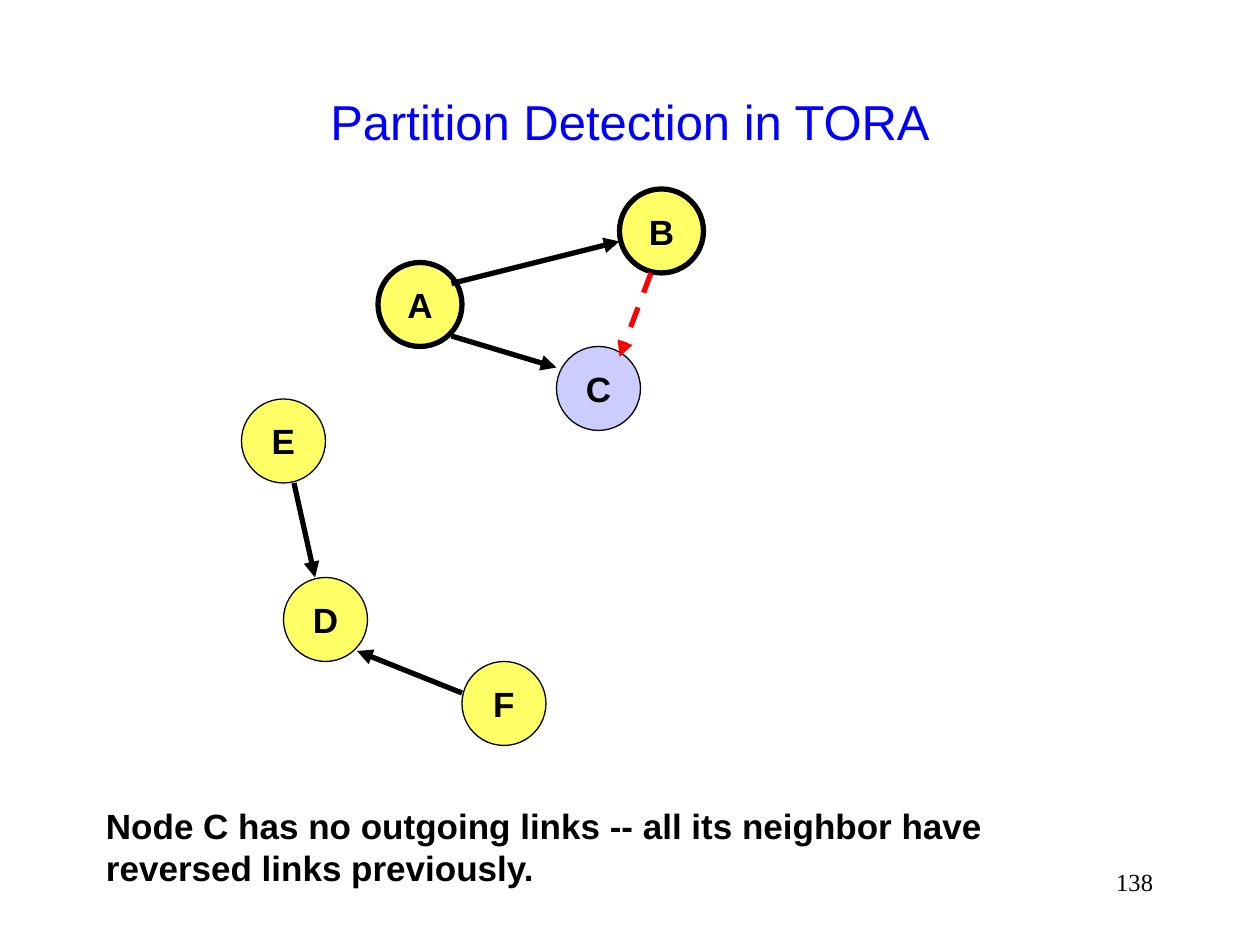
from dataclasses import dataclass
from typing import Optional

from lxml.etree import SubElement
from pptx import Presentation
from pptx.dml.color import RGBColor
from pptx.enum.dml import MSO_LINE
from pptx.enum.shapes import MSO_CONNECTOR, MSO_SHAPE
from pptx.enum.text import MSO_ANCHOR, MSO_AUTO_SIZE, PP_ALIGN
from pptx.oxml.ns import qn
from pptx.util import Pt

BLACK = "000000"
YELLOW = "FFFF66"
LAVENDER = "CCCCFF"
RED = "FF0000"
BLUE = "0000FF"
NODE_SIZE = 48
BOLD_LABEL = {"name": "Arial", "size": Pt(20), "bold": True}


@dataclass
class Node:
    label: str
    left: float
    top: float
    fill: str = YELLOW
    outline: float = 0.75


@dataclass
class Link:
    start: tuple[float, float]
    end: tuple[float, float]
    color: str = BLACK
    dash: Optional[MSO_LINE] = None


NODES = [
    Node("A", 216, 150, outline=3),
    Node("B", 354, 108, outline=3),
    Node("E", 138, 228),
    Node("D", 162, 330),
    Node("F", 264, 378),
    Node("C", 318, 198, fill=LAVENDER),
]

LINKS = [
    Link((258, 162), (354, 138)),
    Link((258, 192), (318, 210)),
    Link((168, 276), (180, 330)),
    Link((264, 396), (204, 372)),
    Link((372, 156), (354, 204), RED, MSO_LINE.DASH),
]


def paint(color_format, color: str) -> None:
    color_format.rgb = RGBColor.from_string(color)


def apply_format(target, values: dict) -> None:
    for name, value in values.items():
        setattr(target, name, value)


def write_text(box, lines: list[str], font: dict, color: str,
               alignment: PP_ALIGN, frame_format: dict) -> None:
    frame = box.text_frame
    apply_format(frame, frame_format)
    for index, line in enumerate(lines):
        para = frame.add_paragraph() if index else frame.paragraphs[0]
        para.alignment = alignment
        span = para.add_run()
        span.text = line
        apply_format(span.font, font)
        paint(span.font.color, color)


def draw_node(page, node: Node) -> None:
    circle = page.shapes.add_shape(
        MSO_SHAPE.OVAL, Pt(node.left), Pt(node.top), Pt(NODE_SIZE), Pt(NODE_SIZE))
    circle.shadow.inherit = False
    circle.fill.solid()
    paint(circle.fill.fore_color, node.fill)
    paint(circle.line.color, BLACK)
    circle.line.width = Pt(node.outline)
    write_text(circle, [node.label], BOLD_LABEL, BLACK, PP_ALIGN.CENTER,
               {"word_wrap": False, "vertical_anchor": MSO_ANCHOR.MIDDLE})


def draw_link(page, link: Link) -> None:
    arrow = page.shapes.add_connector(
        MSO_CONNECTOR.STRAIGHT, *map(Pt, link.start + link.end))
    paint(arrow.line.color, link.color)
    arrow.line.width = Pt(3)
    if link.dash is not None:
        arrow.line.dash_style = link.dash
    properties = arrow.element.spPr
    SubElement(properties.find(qn("a:ln")), qn("a:tailEnd"), type="triangle")
    SubElement(properties, qn("a:effectLst"))


def main() -> None:
    deck = Presentation()
    apply_format(deck, {"slide_width": Pt(720), "slide_height": Pt(540)})
    page = deck.slides.add_slide(deck.slide_layouts[5])

    title = page.shapes.title
    apply_format(title, {"left": Pt(54), "top": Pt(24),
                         "width": Pt(612), "height": Pt(90)})
    write_text(title, ["Partition Detection in TORA"],
               {"name": "Arial", "size": Pt(28)}, BLUE, PP_ALIGN.CENTER,
               {"word_wrap": True, "vertical_anchor": MSO_ANCHOR.MIDDLE,
                "auto_size": MSO_AUTO_SIZE.NONE})

    for node in NODES:
        draw_node(page, node)
    for link in LINKS:
        draw_link(page, link)

    caption = page.shapes.add_textbox(Pt(53.5), Pt(456), Pt(515.5), Pt(55.5))
    write_text(caption,
               ["Node C has no outgoing links -- all its neighbor have",
                "reversed links previously."],
               BOLD_LABEL, BLACK, PP_ALIGN.LEFT,
               {"word_wrap": False, "vertical_anchor": MSO_ANCHOR.MIDDLE,
                "auto_size": MSO_AUTO_SIZE.SHAPE_TO_FIT_TEXT})

    page_number = page.shapes.add_textbox(Pt(516), Pt(492), Pt(150), Pt(36))
    write_text(page_number, ["138"],
               {"name": "Times New Roman", "size": Pt(14)}, BLACK,
               PP_ALIGN.RIGHT, {"word_wrap": True})

    deck.save("out.pptx")


if __name__ == "__main__":
    main()
